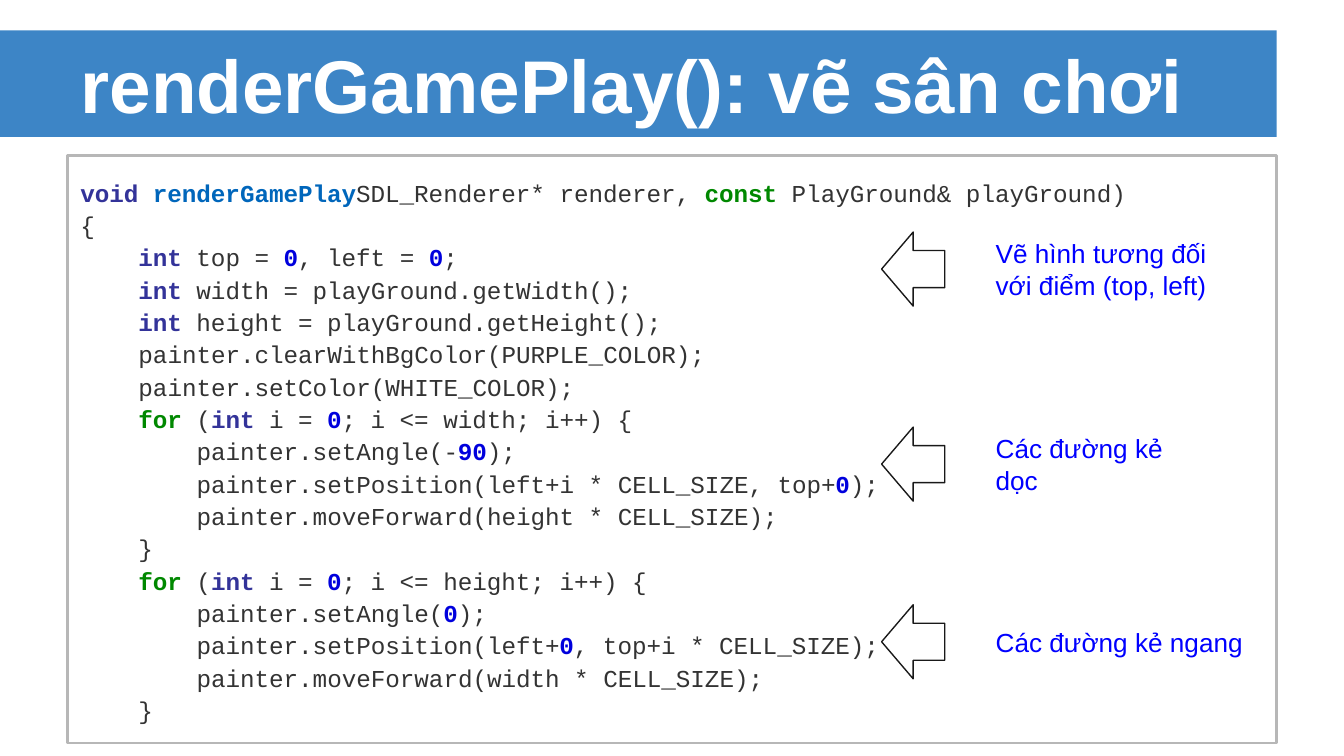
"""Build the slide that explains how renderGamePlay() draws the playground."""
from dataclasses import dataclass

from pptx import Presentation
from pptx.dml.color import RGBColor
from pptx.enum.shapes import MSO_SHAPE
from pptx.enum.text import MSO_ANCHOR, PP_ALIGN
from pptx.util import Inches, Pt

RECTANGLE = MSO_SHAPE.RECTANGLE
LEFT_ARROW = MSO_SHAPE.LEFT_ARROW
MIDDLE = MSO_ANCHOR.MIDDLE
LEFT = PP_ALIGN.LEFT
TITLE_ONLY = 5


@dataclass(frozen=True)
class Theme:
    """Colours, fonts and type sizes of the slide."""
    band: str = "3D85C6"
    heading: str = "FFFFFF"
    frame: str = "B7B7B7"
    arrow: str = "191919"
    note: str = "0000FF"
    code: str = "333333"
    type_name: str = "333399"
    function: str = "0066BB"
    keyword: str = "008800"
    number: str = "0000DD"
    sans: str = "Arial"
    mono: str = "Courier New"
    title_size: float = 40
    note_size: float = 14
    code_size: float = 13
    code_spacing: float = 1.11


THEME = Theme()
TOKEN_COLOURS = {
    "void": THEME.type_name,
    "int": THEME.type_name,
    "renderGamePlay": THEME.function,
    "const": THEME.keyword,
    "for": THEME.keyword,
}
CODE = """\
`void` `renderGamePlay`SDL_Renderer* renderer, `const` PlayGround& playGround)
{
    `int` top = `0`, left = `0`;
    `int` width = playGround.getWidth();
    `int` height = playGround.getHeight();
    painter.clearWithBgColor(PURPLE_COLOR);
    painter.setColor(WHITE_COLOR);
    `for` (`int` i = `0`; i <= width; i++) {
        painter.setAngle(-`90`);
        painter.setPosition(left+i * CELL_SIZE, top+`0`);
        painter.moveForward(height * CELL_SIZE);
    }
    `for` (`int` i = `0`; i <= height; i++) {
        painter.setAngle(`0`);
        painter.setPosition(left+`0`, top+i * CELL_SIZE);
        painter.moveForward(width * CELL_SIZE);
    }"""
NOTES = [
    ("Vẽ hình tương đối với điểm (top, left)", 35.6, 18.1),
    ("Các đường kẻ dọc", 61.4, 18.1),
    ("Các đường kẻ ngang", 84.9, 21.2),
]


def write(paragraph, text, *, size, font, colour, bold=False):
    """Append one formatted run to a paragraph."""
    run = paragraph.add_run()
    run.text = text
    run.font.size = Pt(size)
    run.font.name = font
    run.font.bold = bold
    run.font.color.rgb = RGBColor.from_string(colour)


class SlideBuilder:
    """Holds the theme and the current slide; lengths are percent of its size."""

    def __init__(self, deck, theme):
        """Start a title-only slide."""
        self.theme = theme
        self.width, self.height = deck.slide_width, deck.slide_height
        self.slide = deck.slides.add_slide(deck.slide_layouts[TITLE_ONLY])

    def box(self, left, top, width, height):
        """Turn percentages into slide lengths."""
        return (int(self.width * left / 100), int(self.height * top / 100),
                int(self.width * width / 100), int(self.height * height / 100))

    def prepare(self, frame):
        """Set wrapping, anchor and insets, and return the first paragraph."""
        frame.word_wrap = True
        frame.vertical_anchor = MIDDLE
        frame.margin_left = frame.margin_right = Inches(0.1)
        frame.margin_top = frame.margin_bottom = Inches(0.1)
        frame.paragraphs[0].alignment = LEFT
        return frame.paragraphs[0]

    def shape(self, preset, area, fill=None, line=None, weight=1):
        """Add a preset shape with an optional fill and outline."""
        shape = self.slide.shapes.add_shape(preset, *self.box(*area))
        shape.shadow.inherit = False
        if fill:
            shape.fill.solid()
            shape.fill.fore_color.rgb = RGBColor.from_string(fill)
        else:
            shape.fill.background()
        if line:
            shape.line.color.rgb = RGBColor.from_string(line)
            shape.line.width = Pt(weight)
        else:
            shape.line.fill.background()
        return shape

    def title(self, text, top, height):
        """Place the title over a band that starts at the slide's edge."""
        band = self.shape(RECTANGLE, (0, top, 95, height), fill=self.theme.band)
        self.slide.shapes._spTree.insert(2, band._element)
        heading = self.slide.shapes.title
        heading.left, heading.top, heading.width, heading.height = self.box(5, top, 90, height)
        write(self.prepare(heading.text_frame), text, size=self.theme.title_size,
              font=self.theme.sans, colour=self.theme.heading, bold=True)

    def code(self, listing, area):
        """Add a framed listing whose backticked tokens are highlighted."""
        theme = self.theme
        panel = self.shape(RECTANGLE, area, line=theme.frame, weight=1.5)
        paragraph = self.prepare(panel.text_frame)
        paragraph.line_spacing = theme.code_spacing
        for number, line in enumerate(listing.splitlines()):
            if number:
                paragraph.add_line_break()
                paragraph._p[-1].get_or_add_rPr().set("sz", str(theme.code_size * 100))
            for position, token in enumerate(line.split("`")):
                marked = position % 2 == 1
                colour = TOKEN_COLOURS.get(token, theme.number) if marked else theme.code
                if token:
                    write(paragraph, token, size=theme.code_size, font=theme.mono,
                          colour=colour, bold=marked)

    def note(self, text, middle, width):
        """Add an arrow to the code and its remark, centred on one height."""
        self.shape(LEFT_ARROW, (65.6, middle - 4.9, 4.7, 9.8),
                   line=self.theme.arrow, weight=0.75)
        remark = self.slide.shapes.add_textbox(*self.box(73.1, middle - 7, width, 14))
        write(self.prepare(remark.text_frame), text, size=self.theme.note_size,
              font=self.theme.sans, colour=self.theme.note)


def main():
    """Compose the slide and save it."""
    deck = Presentation()
    deck.slide_width = Inches(10)
    deck.slide_height = deck.slide_width * 9 // 16
    builder = SlideBuilder(deck, THEME)
    builder.title("renderGamePlay(): vẽ sân chơi", 4, 14.1)
    builder.code(CODE, (5, 20.6, 90, 77.7))
    for text, middle, width in NOTES:
        builder.note(text, middle, width)
    deck.save("out.pptx")


if __name__ == "__main__":
    main()
